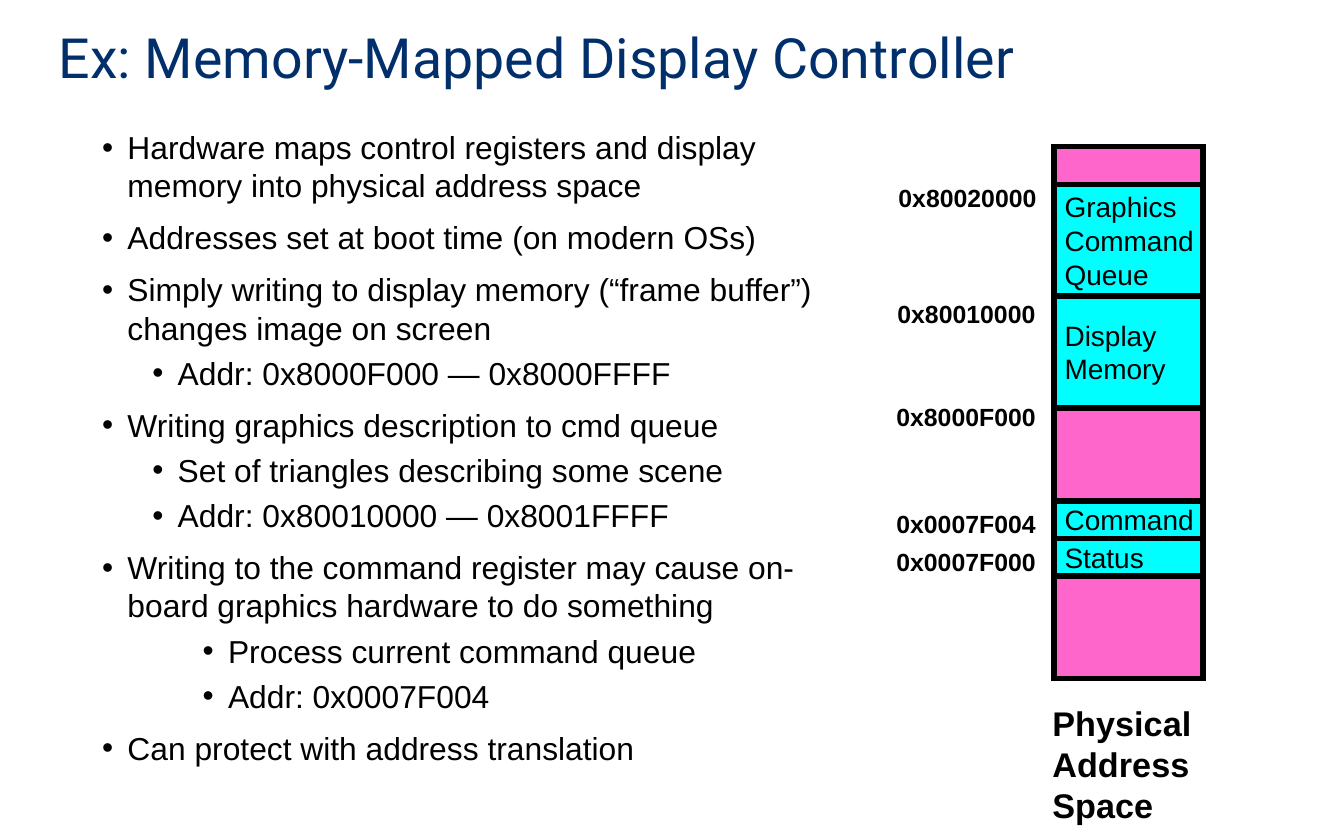
from pptx import Presentation
from pptx.dml.color import RGBColor
from pptx.enum.shapes import MSO_SHAPE
from pptx.enum.text import MSO_ANCHOR, PP_ALIGN
from pptx.oxml import parse_xml
from pptx.oxml.ns import nsdecls
from pptx.util import Cm, Pt

RECTANGLE = MSO_SHAPE.RECTANGLE
TOP, MIDDLE = MSO_ANCHOR.TOP, MSO_ANCHOR.MIDDLE
LEFT = PP_ALIGN.LEFT

COLORS = {"title": "002F6C", "ink": "000000", "memory": "FF66CC", "device": "00FFFF"}
HANGING = 0.48
LEVEL_STEP = 0.95
TOWER_LEFT, TOWER_WIDTH = 19.92, 2.82

BULLETS = [
    (0, "Hardware maps control registers and display memory into physical address space"),
    (0, "Addresses set at boot time (on modern OSs)"),
    (0, "Simply writing to display memory (“frame buffer”) changes image on screen"),
    (1, "Addr: 0x8000F000 — 0x8000FFFF"),
    (0, "Writing graphics description to cmd queue"),
    (1, "Set of triangles describing some scene"),
    (1, "Addr: 0x80010000 — 0x8001FFFF"),
    (0, "Writing to the command register may cause on-board graphics hardware to do something"),
    (2, "Process current command queue"),
    (2, "Addr: 0x0007F004"),
    (0, "Can protect with address translation"),
]
REGIONS = [
    (3.49, 2.11, "Graphics\nCommand\nQueue"),
    (5.6, 2.11, "Display\nMemory"),
    (9.47, 0.71, "Command"),
    (10.18, 0.71, "Status"),
]
ADDRESSES = [
    (16.78, 3.36, "0x80020000"),
    (16.76, 5.54, "0x80010000"),
    (16.74, 7.49, "0x8000F000"),
    (16.74, 9.52, "0x0007F004"),
    (16.74, 10.23, "0x0007F000"),
]


def color(name):
    """Return the named colour."""
    return RGBColor.from_string(COLORS[name])


def write_text(shape, text, size, bold=False, font="Arial", ink="ink", anchor=TOP):
    """Fill a shape with left-aligned text in one style."""
    frame = shape.text_frame
    frame.word_wrap = True
    frame.vertical_anchor = anchor
    frame.margin_left, frame.margin_right = Cm(0.2), Cm(0)
    frame.margin_top = frame.margin_bottom = Cm(0.1)
    frame.text = text
    for para in frame.paragraphs:
        para.alignment = LEFT
        for span in para.runs:
            span.font.name = font
            span.font.size = Pt(size)
            span.font.bold = bold
            span.font.color.rgb = color(ink)
    return frame


def add_label(page, left, top, width, height, text, size, **style):
    """Add a text box and return its text frame."""
    box = page.shapes.add_textbox(Cm(left), Cm(top), Cm(width), Cm(height))
    return write_text(box, text, size, **style)


def add_block(page, top, height, fill):
    """Add one outlined block of the address space."""
    block = page.shapes.add_shape(
        RECTANGLE, Cm(TOWER_LEFT), Cm(top), Cm(TOWER_WIDTH), Cm(height))
    block.shadow.inherit = False
    block.fill.solid()
    block.fill.fore_color.rgb = color(fill)
    block.line.color.rgb = color("ink")
    block.line.width = Pt(3)
    outline = block.line._get_or_add_ln()
    outline.append(parse_xml(f'<a:miter {nsdecls("a")} lim="800000"/>'))
    return block


def add_bullets(page):
    """Add the bulleted explanation with its three levels."""
    text = "\n".join(item for _, item in BULLETS)
    frame = add_label(page, 1.68, 2.29, 14.3, 13.59, text, 17)
    frame.margin_left = frame.margin_right = Cm(0.25)
    frame.margin_top = Cm(0.13)
    for index, (para, (level, _)) in enumerate(zip(frame.paragraphs, BULLETS)):
        para.level = level
        if index:
            para.space_before = Pt(3.8 if level else 7.5)
        properties = para._p.get_or_add_pPr()
        properties.set("marL", str(Cm(HANGING + level * LEVEL_STEP)))
        properties.set("indent", str(-Cm(HANGING)))
        properties.append(parse_xml(f'<a:buFont {nsdecls("a")} typeface="Arial"/>'))
        properties.append(parse_xml(f'<a:buChar {nsdecls("a")} char="•"/>'))


def add_address_space(page):
    """Add the memory tower with its regions and addresses."""
    add_block(page, 2.77, 10.06, "memory")
    for top, height, name in REGIONS:
        write_text(add_block(page, top, height, "device"), name, 15, anchor=MIDDLE)
    for left, top, address in ADDRESSES:
        add_label(page, left, top, 3.07, 0.79, address, 13.3, bold=True)
    add_label(page, 19.69, 13.18, 3.28, 2.57, "Physical\nAddress\nSpace", 18.3, bold=True)


def main():
    """Build and save the deck."""
    deck = Presentation()
    deck.slide_width, deck.slide_height = Cm(25.4), Cm(15.88)
    page = deck.slides.add_slide(deck.slide_layouts[6])
    title = add_label(page, 0.86, 0.53, 20.47, 1.24, "Ex: Memory-Mapped Display Controller",
                      29.7, font="Roboto", ink="title", anchor=MIDDLE)
    title.margin_left = Cm(0.25)
    title.paragraphs[0].line_spacing = 0.9
    add_bullets(page)
    add_address_space(page)
    deck.save("out.pptx")


if __name__ == "__main__":
    main()
